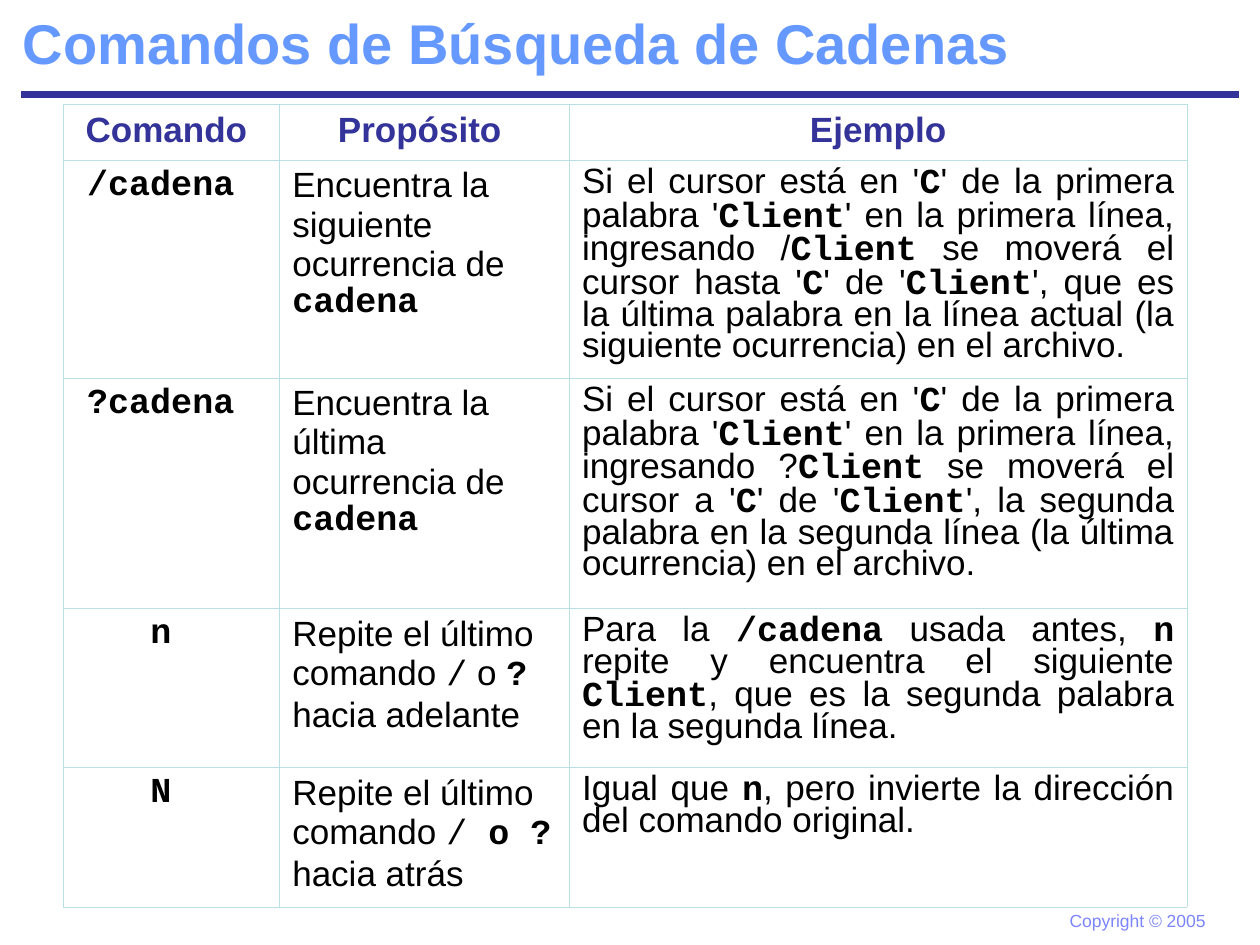
from lxml import etree
from pptx import Presentation
from pptx.dml.color import RGBColor
from pptx.enum.shapes import MSO_CONNECTOR
from pptx.enum.text import MSO_ANCHOR, MSO_AUTO_SIZE, PP_ALIGN
from pptx.oxml.ns import qn
from pptx.util import Inches, Pt

LEFT, CENTER, JUSTIFY = PP_ALIGN.LEFT, PP_ALIGN.CENTER, PP_ALIGN.JUSTIFY
TITLE_COLOR, NAVY, BORDER = "6699FF", "333399", "BBE0E3"
BODY = {"name": "Arial", "size": Pt(20), "bold": False}
CODE = {**BODY, "name": "Courier New"}
HEAD = {**BODY, "bold": True}

COLUMNS = [1.72, 2.3, 4.9]
ROWS = [0.44, 1.73, 1.83, 1.26, 1.11]
ALIGNMENTS = [CENTER, LEFT, JUSTIFY]
HEADINGS = ["Comando ", "Propósito ", "Ejemplo"]
# *text* is bold code, `text` is plain code
COMMANDS = [
    ["*/cadena *",
     "Encuentra la siguiente ocurrencia de  *cadena*",
     "Si el cursor está en '*C*' de la primera palabra '*Client*' en la "
     "primera línea, ingresando /*Client* se moverá el cursor hasta '*C*' de "
     "'*Client*', que es la última palabra en la línea actual (la siguiente "
     "ocurrencia) en el archivo."],
    ["*?cadena *",
     "Encuentra la última ocurrencia de  *cadena*",
     "Si el cursor está en '*C*' de la primera palabra '*Client*' en la "
     "primera línea, ingresando ?*Client* se moverá el cursor a '*C*' de "
     "'*Client*', la segunda palabra en la segunda línea (la última "
     "ocurrencia) en el archivo."],
    ["*n *",
     "Repite el último comando `/` o *?* hacia adelante",
     "Para la */cadena* usada antes, *n* repite y encuentra el siguiente "
     "*Client*, que es la segunda palabra en la segunda línea."],
    ["*N *",
     "Repite el último comando `/ `*o ?* hacia atrás",
     "Igual que *n*, pero invierte la dirección del comando original."],
]


def rgb(color):
    return RGBColor.from_string(color)


def add_run(p, text, color, fmt):
    r = p.add_run()
    r.text = text
    for key, value in fmt.items():
        setattr(r.font, key, value)
    r.font.color.rgb = rgb(color)


def add_marked_text(p, text):
    for i, part in enumerate(text.split("*")):
        for j, piece in enumerate(part.split("`")):
            if piece:
                fmt = {**CODE, "bold": True} if i % 2 else CODE if j % 2 else BODY
                add_run(p, piece, "000000", fmt)


def set_borders(cell):
    tcPr = cell._tc.get_or_add_tcPr()
    for n, side in enumerate(("lnL", "lnR", "lnT", "lnB")):
        ln = etree.Element(qn("a:" + side), w=str(Pt(0.45)))
        fill = etree.SubElement(ln, qn("a:solidFill"))
        etree.SubElement(fill, qn("a:srgbClr"), val=BORDER)
        tcPr.insert(n, ln)


def add_title(s, text):
    sp = s.shapes.title
    sp.left, sp.top, sp.width, sp.height = map(Inches, (0.08, 0, 9.92, 0.67))
    tf = sp.text_frame
    tf.auto_size = MSO_AUTO_SIZE.NONE
    tf.vertical_anchor = MSO_ANCHOR.MIDDLE
    p = tf.paragraphs[0]
    p.alignment = LEFT
    add_run(p, text, TITLE_COLOR, {**HEAD, "size": Pt(32)})


def add_rule(s):
    line = s.shapes.add_connector(MSO_CONNECTOR.STRAIGHT, Inches(0.17),
                                  Inches(0.75), Inches(9.83), Inches(0.75))
    line.line.color.rgb = rgb(NAVY)
    line.line.width = Pt(4.5)
    etree.SubElement(line._element.spPr, qn("a:effectLst"))


def add_footer(s, text):
    sp = s.shapes.add_textbox(*map(Inches, (8.39, 7.17, 1.28, 0.27)))
    tf = sp.text_frame
    tf.word_wrap = False
    add_run(tf.paragraphs[0], text, "7C85FC", {**BODY, "size": Pt(10)})


def add_command_table(s):
    table = s.shapes.add_table(
        len(ROWS), len(COLUMNS), Inches(0.5), Inches(0.83),
        Inches(sum(COLUMNS)), Inches(sum(ROWS))).table
    table.first_row = table.horz_banding = False
    for column, width in zip(table.columns, COLUMNS):
        column.width = Inches(width)
    for row, height in zip(table.rows, ROWS):
        row.height = Inches(height)

    for i, texts in enumerate([HEADINGS] + COMMANDS):
        for j, text in enumerate(texts):
            cell = table.cell(i, j)
            cell.fill.background()
            set_borders(cell)
            p = cell.text_frame.paragraphs[0]
            if i == 0:
                p.alignment = CENTER
                add_run(p, text, NAVY, HEAD)
                continue
            p.alignment = ALIGNMENTS[j]
            if p.alignment == JUSTIFY:
                p.line_spacing = 0.8
            add_marked_text(p, text)


def main():
    prs = Presentation()
    prs.slide_width, prs.slide_height = Inches(10), Inches(7.5)
    s = prs.slides.add_slide(prs.slide_layouts[5])
    add_rule(s)
    add_footer(s, "Copyright © 2005")
    add_command_table(s)
    add_title(s, "Comandos de Búsqueda de Cadenas")
    prs.save("out.pptx")


if __name__ == "__main__":
    main()
